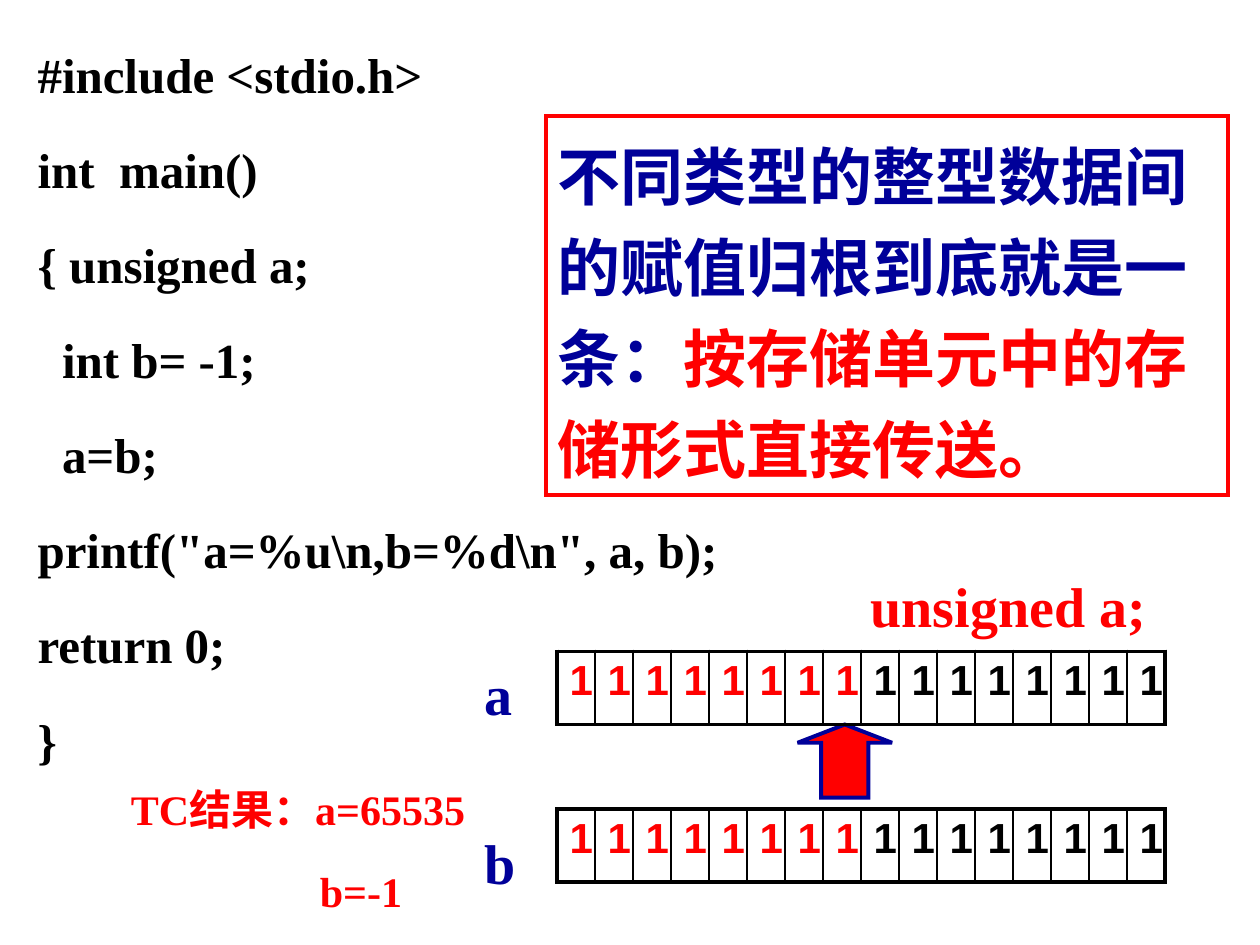
from lxml import etree
from pptx import Presentation
from pptx import util as u
from pptx.dml.color import RGBColor
from pptx.enum import shapes, text
from pptx.oxml.ns import qn

SERIF, SANS, CHINESE = "Times New Roman", "Arial", "Noto Sans CJK SC"
RED, NAVY, BLACK, WHITE = "FF0000", "000099", "000000", "FFFFFF"
BITS = 16
A_TOP, B_TOP = 5.17, 6.42
CODE = r'''#include <stdio.h>
int  main()
{ unsigned a;
  int b= -1;
  a=b;
printf("a=%u\n,b=%d\n", a, b);
return 0;
}'''


def rgb(value):
    return RGBColor.from_string(value)


def set_font(font, name, size, color):
    font.name, font.size, font.bold = name, u.Pt(size), True
    font.color.rgb = rgb(color)


def set_chinese_font(span):
    """Name the East Asian typeface, which font.name leaves unset."""
    etree.SubElement(span._r.get_or_add_rPr(), qn("a:ea"), typeface=CHINESE)


def set_outline(shape, color):
    """Give a shape a 2.25 pt outline with sharp corners."""
    shape.line.color.rgb = rgb(color)
    shape.line.width = u.Pt(2.25)
    outline = shape._element.spPr.find(qn("a:ln"))
    etree.SubElement(outline, qn("a:miter"), lim="800000")


def add_text(page, place, lines, size, color, font=SERIF, align=None):
    """Add a text box with one paragraph for each line."""
    box = page.shapes.add_textbox(*map(u.Inches, place))
    frame = box.text_frame
    frame.word_wrap = True
    for number, line in enumerate(lines):
        para = frame.paragraphs[0] if number == 0 else frame.add_paragraph()
        para.add_run().text = line
        para.line_spacing = 1.2
        para.alignment = align
        if number:
            para.space_before = u.Pt(size / 2)
        set_font(para.font, font, size, color)
    return box


def add_code(page):
    box = add_text(page, (0.2, 0.21, 6.3, 6.24), CODE.split("\n"), 28, BLACK,
                   align=text.PP_ALIGN.JUSTIFY)
    box.fill.solid()
    box.fill.fore_color.rgb = rgb(WHITE)


def add_result(page):
    box = add_text(page, (0.94, 6.09, 4.5, 1.23),
                   ["TC结果：a=65535", "b=-1"], 24, RED)
    first, second = box.text_frame.paragraphs
    set_chinese_font(first.runs[0])
    second._p.get_or_add_pPr().set("marL", str(u.Inches(1.5)))


def add_rule(page):
    box = add_text(page, (4.33, 0.92, 5.42, 3.01),
                   ["不同类型的整型数据间的赋值归根到底就是一条："], 36, NAVY, CHINESE)
    set_outline(box, RED)
    para = box.text_frame.paragraphs[0]
    para.line_spacing = u.Pt(52)
    emphasis = para.add_run()
    emphasis.text = "按存储单元中的存储形式直接传送。"
    emphasis.font.color.rgb = rgb(RED)
    for span in para.runs:
        set_chinese_font(span)


def set_borders(cell, widths):
    """Draw the left, right, top and bottom borders, widths in points."""
    properties = cell._tc.get_or_add_tcPr()
    for index, (side, width) in enumerate(zip("LRTB", widths)):
        line = etree.Element(qn(f"a:ln{side}"), w=str(u.Pt(width)))
        fill = etree.SubElement(line, qn("a:solidFill"))
        etree.SubElement(fill, qn("a:srgbClr"), val=BLACK)
        properties.insert(index, line)


def add_storage(page, top):
    """Add a row of 16 empty bit cells and return its table."""
    width = u.Inches(4.83)
    table = page.shapes.add_table(1, BITS, u.Inches(4.42), u.Inches(top),
                                  width, u.Inches(0.58)).table
    table.first_row = table.horz_banding = False
    for index in range(BITS):
        table.columns[index].width = width // BITS
        cell = table.cell(0, index)
        cell.fill.background()
        left = 2.25 if index == 0 else 1
        right = 2.25 if index == BITS - 1 else 1
        set_borders(cell, (left, right, 2.25, 2.25))
    return table


def add_bits(page, top):
    """Add a row of ones whose high byte is red."""
    for index, cell in enumerate(add_storage(page, top).iter_cells()):
        cell.text = "1"
        set_font(cell.text_frame.paragraphs[0].font, SANS, 24,
                 RED if index < BITS // 2 else BLACK)


def add_up_arrow(page):
    arrow = page.shapes.add_shape(shapes.MSO_SHAPE.UP_ARROW,
                                  *map(u.Inches, (6.33, 5.75, 0.75, 0.58)))
    arrow.adjustments[0], arrow.adjustments[1] = 0.5, 0.25
    arrow.shadow.inherit = False
    arrow.fill.solid()
    arrow.fill.fore_color.rgb = rgb(RED)
    set_outline(arrow, NAVY)


def add_label(page, name, top):
    add_text(page, (3.75, top, 0.5, 0.63), [name], 32, NAVY)


def main():
    deck = Presentation()
    deck.slide_width, deck.slide_height = u.Inches(10), u.Inches(7.5)
    page = deck.slides.add_slide(deck.slide_layouts[6])
    add_code(page)
    add_result(page)
    add_rule(page)
    add_storage(page, A_TOP)
    add_label(page, "a", 5.08)
    add_bits(page, B_TOP)
    add_label(page, "b", 6.42)
    add_up_arrow(page)
    add_bits(page, A_TOP)
    add_text(page, (6.81, 4.38, 3.01, 0.63), ["unsigned a;"], 32, RED,
             align=text.PP_ALIGN.JUSTIFY)
    deck.save("out.pptx")


if __name__ == "__main__":
    main()
